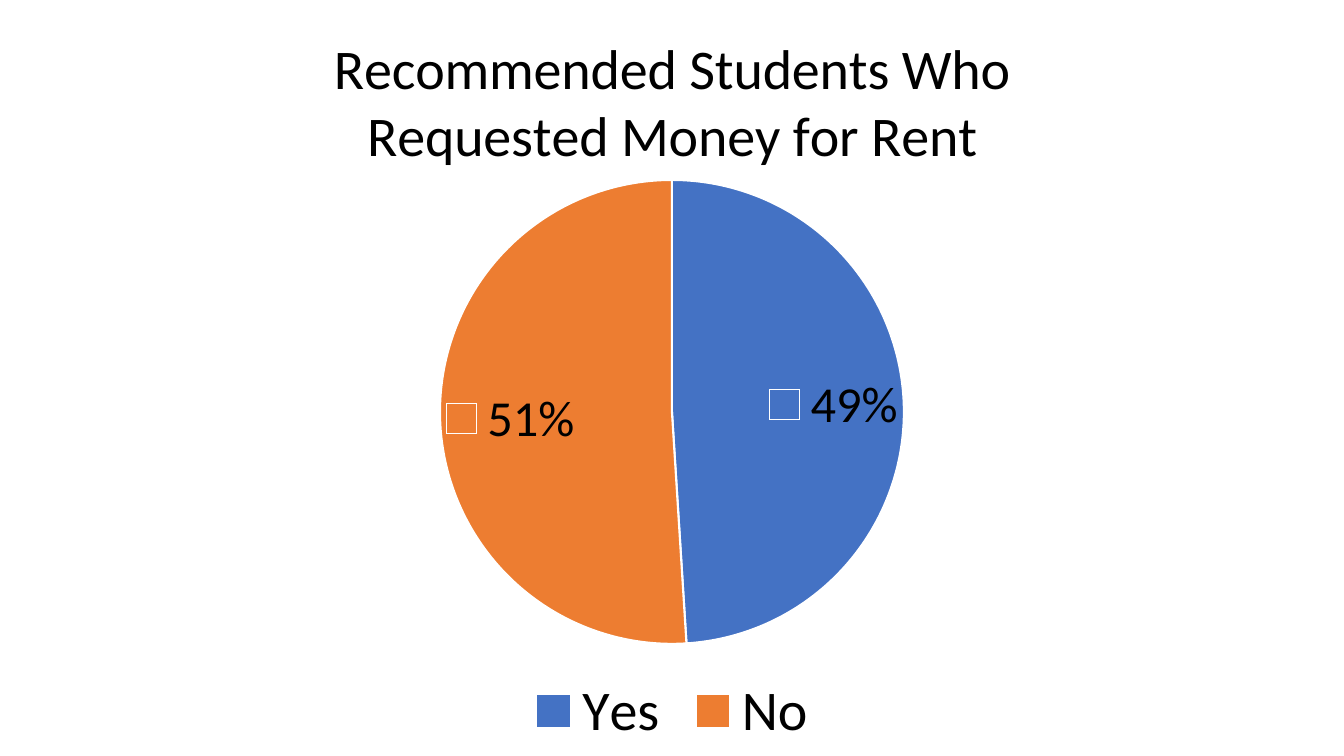
from lxml.etree import SubElement
from pptx import Presentation
from pptx.chart.data import CategoryChartData
from pptx.dml.color import RGBColor
from pptx.enum.chart import XL_CHART_TYPE as ChartType
from pptx.enum.chart import XL_LABEL_POSITION as LabelPosition
from pptx.enum.chart import XL_LEGEND_POSITION as LegendPosition
from pptx.oxml.ns import qn
from pptx.util import Emu, Pt

PIXEL = 914400 / 100.8
BLACK = RGBColor(0x00, 0x00, 0x00)
WHITE = RGBColor(0xFF, 0xFF, 0xFF)
BLUE = RGBColor(0x44, 0x72, 0xC4)
ORANGE = RGBColor(0xED, 0x7D, 0x31)


def pixels(length):
    """Turn whole pixels into EMU."""
    return Emu(round(length * PIXEL))


class SlideBuilder:
    """Holds the text style and the current slide."""

    font_name = "Calibri"
    text_color = BLACK

    def __init__(self, slide):
        """Keep the slide that receives the elements."""
        self.slide = slide

    def style_font(self, font, size):
        """Give a font the shared face and colour at a size in points."""
        font.name = self.font_name
        font.size = Pt(size)
        font.bold = False
        font.color.rgb = self.text_color

    def add_pie(self, box, slices, colors):
        """Add a pie chart with one coloured slice per answer."""
        data = CategoryChartData()
        data.categories = list(slices)
        data.add_series("Students", list(slices.values()))
        frame = self.slide.shapes.add_chart(
            ChartType.PIE, *map(pixels, box), data)
        chart = frame.chart
        self.style_font(chart.font, 10)
        plot = chart.plots[0]
        plot.vary_by_categories = True
        for index, color in enumerate(colors):
            point_format = plot.series[0].points[index].format
            point_format.fill.solid()
            point_format.fill.fore_color.rgb = color
            point_format.line.color.rgb = WHITE
            point_format.line.width = Pt(1.5)
        return chart

    def add_title(self, chart, text, size):
        """Write the chart title."""
        paragraph = chart.chart_title.text_frame.paragraphs[0]
        run = paragraph.add_run()
        run.text = text
        self.style_font(run.font, size)
        chart.chart_title.include_in_layout = False

    def add_labels(self, chart, size):
        """Show percentages with legend keys inside the slices."""
        plot = chart.plots[0]
        plot.has_data_labels = True
        labels = plot.data_labels
        labels.show_value = False
        labels.show_percentage = True
        labels.show_legend_key = True
        labels.number_format = "0%"
        labels.number_format_is_linked = False
        labels.position = LabelPosition.INSIDE_END
        self.style_font(labels.font, size)

    def add_legend(self, chart, size):
        """Put the legend below the pie."""
        chart.has_legend = True
        chart.legend.position = LegendPosition.BOTTOM
        chart.legend.include_in_layout = False
        self.style_font(chart.legend.font, size)

    def place_plot(self, chart, box, plot_box):
        """Fix the pie's square, given in slide pixels, within the chart."""
        left, top, width, height = box
        x, y, w, h = plot_box
        area = chart.plots[0]._element.getparent()
        for old in area.findall(qn("c:layout")):
            area.remove(old)
        layout = SubElement(area, qn("c:layout"))
        area.insert(0, layout)
        manual = SubElement(layout, qn("c:manualLayout"))
        settings = {
            "layoutTarget": "inner", "xMode": "edge", "yMode": "edge",
            "x": (x - left) / width, "y": (y - top) / height,
            "w": w / width, "h": h / height,
        }
        for name, value in settings.items():
            SubElement(manual, qn(f"c:{name}")).set("val", str(value))


def main():
    """Build the slide and save it."""
    presentation = Presentation()
    presentation.slide_width = pixels(1344)
    presentation.slide_height = pixels(756)
    blank_layout = presentation.slide_layouts[6]
    builder = SlideBuilder(presentation.slides.add_slide(blank_layout))

    chart_box = (98, 0, 1148, 756)
    rent_chart = builder.add_pie(
        chart_box, {"Yes": 49, "No": 51}, (BLUE, ORANGE))
    builder.add_title(
        rent_chart, "Recommended Students Who Requested Money for Rent", 40)
    builder.add_labels(rent_chart, 36)
    builder.add_legend(rent_chart, 40)
    builder.place_plot(rent_chart, chart_box, (440, 180, 464, 464))
    presentation.save("out.pptx")


main()
